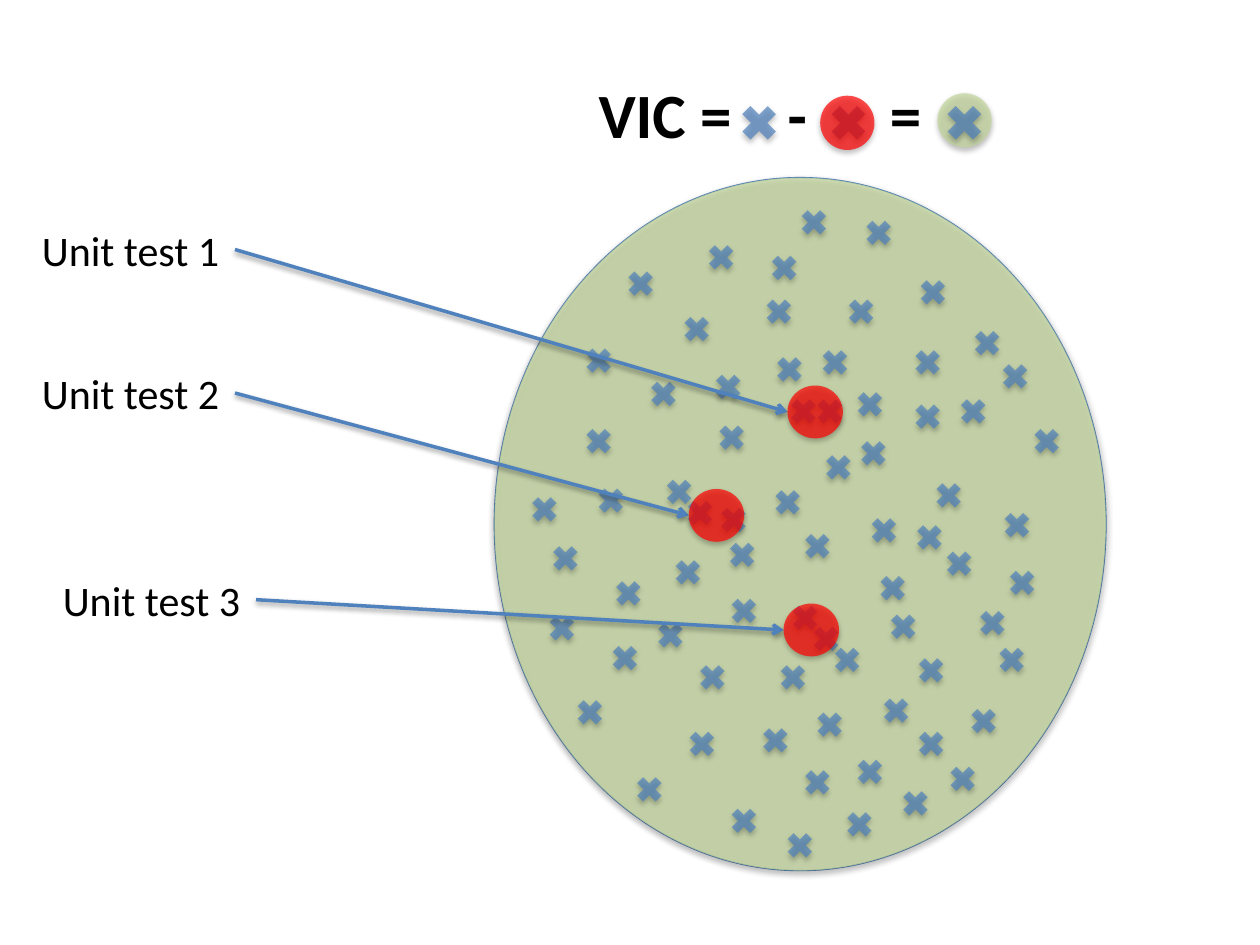
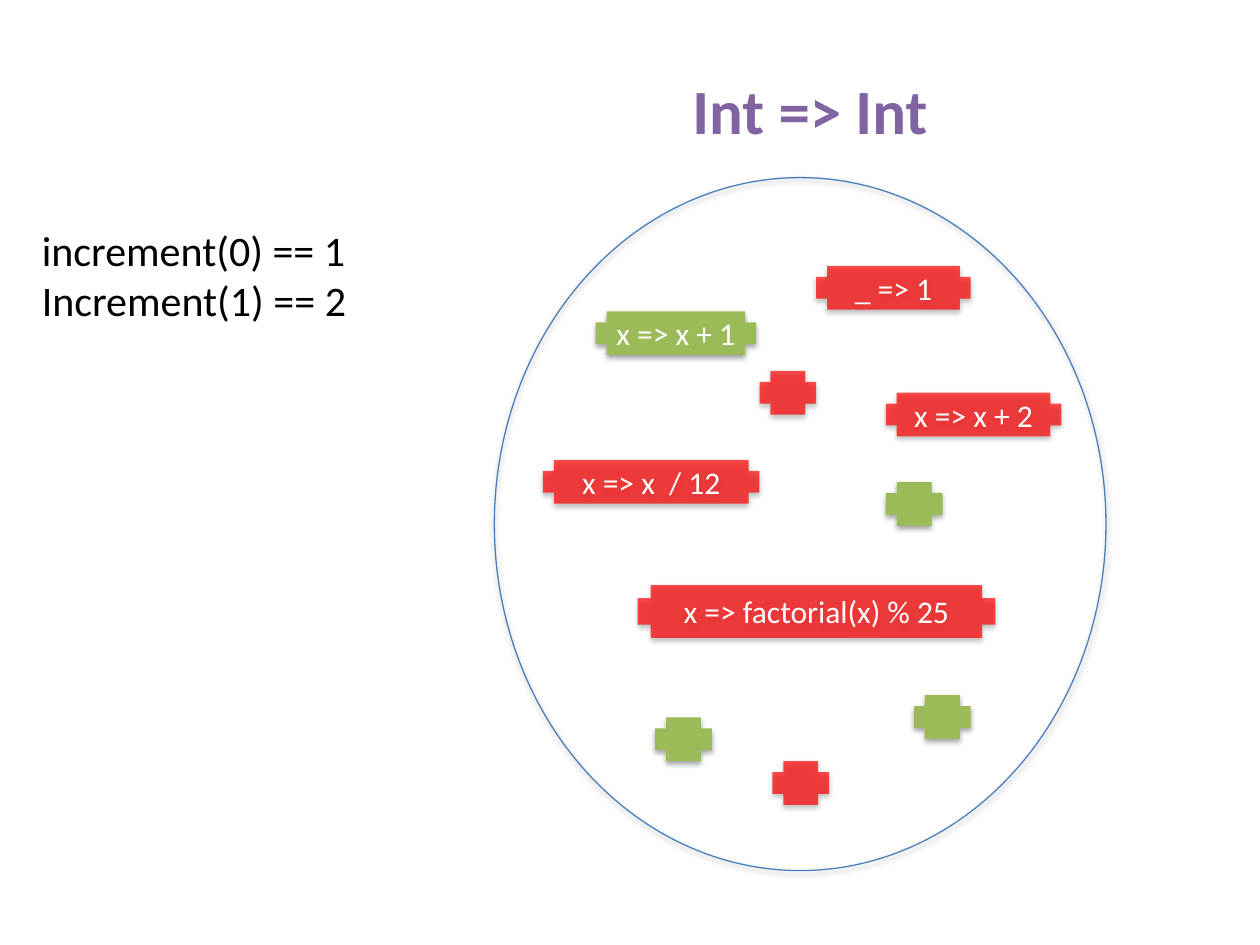
from lxml import etree
from pptx import Presentation
from pptx.dml.color import RGBColor
from pptx.enum import shapes, text
from pptx.oxml.ns import qn
from pptx.util import Pt

COLOURS = {
    "black": "000000",
    "white": "FFFFFF",
    "blue": "4F81BD",
    "outline": "4B7EBC",
    "pale_green": "C3D69B",
    "green": "9BBB59",
    "red": "FF0000",
    "purple": "8064A2",
}
KINDS = shapes.MSO_SHAPE
FONT = "Calibri"
DOMAIN = (282.5, 101.5, 349.5, 396)
CROSS_SIZE = 20.2
LEGEND_CROSS_SIZE = 28
LEGEND_CIRCLE_SIZE = 31
LABEL_SIZE = (117.5, 36)
CIRCLE_SIZE = (31.7, 30.2)
PLUS_HEIGHT = 25
SMALL_PLUS_WIDTH = 32.4

CROSSES = [
    (388, 178), (332, 196), (332, 242), (438, 143), (482, 168), (520, 197),
    (441, 201), (369, 215), (487, 221), (408, 240), (449, 225), (469, 257),
    (457, 302), (500, 326), (557, 346), (506, 348), (301, 281), (532, 273),
    (495, 293), (538, 312), (522, 373), (313, 309), (339, 276), (311, 349),
    (349, 329), (347, 366), (373, 353), (383, 317), (397, 377), (391, 415),
    (327, 397), (433, 413), (415, 459), (457, 437), (361, 441), (481, 461),
    (447, 473), (378, 271), (390, 283), (414, 307), (409, 287), (415, 339),
    (450, 343), (462, 355), (474, 367), (443, 377), (464, 404), (487, 431),
    (522, 415), (513, 449), (552, 402), (540, 435), (502, 396), (492, 123),
    (523, 157), (520, 228), (406, 211), (554, 186), (521, 297), (588, 242),
    (571, 290), (574, 323), (568, 367), (402, 137), (356, 152), (435, 168),
    (570, 205), (546, 225), (455, 117), (464, 225), (467, 197), (489, 249),
    (440, 277),
]
UNIT_TESTS = [
    ("Unit test 1", (16.8, 124.6), (450, 220.3)),
    ("Unit test 2", (16.8, 206.6), (393.6, 279.4)),
    ("Unit test 3", (28.8, 324.7), (447.8, 344.9)),
]
FUNCTIONS = [
    ("x => x + 1", "green", (340.4, 178, 91.6, PLUS_HEIGHT)),
    ("_ => 1", "red", (466.4, 152, 88.3, PLUS_HEIGHT)),
    ("x => x + 2", "red", (506.2, 224.4, 100.3, PLUS_HEIGHT)),
    ("x => factorial(x) % 25", "red", (364.3, 334.3, 204.4, 30.2)),
    ("x => x  / 12", "red", (310.3, 262.8, 123.7, PLUS_HEIGHT)),
]
UNNAMED_FUNCTIONS = [
    ("red", (434, 212)),
    ("green", (506.2, 275.5)),
    ("green", (374.4, 410)),
    ("green", (522.3, 397.3)),
    ("red", (441.4, 435)),
]


class Deck:
    def __init__(self):
        self.presentation = Presentation()
        self.presentation.slide_width = Pt(720)
        self.presentation.slide_height = Pt(540)
        self.slide = None

    def new_slide(self):
        layout = self.presentation.slide_layouts[5]
        self.slide = self.presentation.slides.add_slide(layout)

    def colour(self, name):
        return RGBColor.from_string(COLOURS[name])

    def shadow(self, shape, distance=1.8, opacity=35):
        properties = shape._element.spPr
        for old in properties.findall(qn("a:effectLst")):
            properties.remove(old)
        effects = etree.SubElement(properties, qn("a:effectLst"))
        outer = etree.SubElement(
            effects, qn("a:outerShdw"), blurRad=str(Pt(3.1)),
            dist=str(Pt(distance)), dir="5400000", rotWithShape="0")
        base = etree.SubElement(outer, qn("a:srgbClr"), val=COLOURS["black"])
        etree.SubElement(base, qn("a:alpha"), val=str(opacity * 1000))

    def set_text(self, shape, lines, size, colour, bold=False,
                 align=text.PP_ALIGN.LEFT, tabs=()):
        frame = shape.text_frame
        frame.text = "\n".join(lines)
        for paragraph in frame.paragraphs:
            paragraph.alignment = align
            if tabs:
                stops = etree.SubElement(
                    paragraph._p.get_or_add_pPr(), qn("a:tabLst"))
                for position in tabs:
                    etree.SubElement(stops, qn("a:tab"),
                                     pos=str(Pt(position)), algn="l")
            paragraph.font.name = FONT
            paragraph.font.size = Pt(size)
            paragraph.font.bold = bold
            paragraph.font.color.rgb = self.colour(colour)

    def title(self, words, left, top, width, colour="black", tabs=()):
        shape = self.slide.shapes.title
        shape.left, shape.top = Pt(left), Pt(top)
        shape.width, shape.height = Pt(width), Pt(51)
        frame = shape.text_frame
        frame.auto_size = text.MSO_AUTO_SIZE.NONE
        frame.vertical_anchor = text.MSO_ANCHOR.TOP
        self.set_text(shape, [words], 36, colour, bold=True, tabs=tabs)

    def label(self, lines, left, top, width, height):
        shape = self.slide.shapes.add_textbox(
            Pt(left), Pt(top), Pt(width), Pt(height))
        shape.text_frame.word_wrap = False
        shape.text_frame.auto_size = text.MSO_AUTO_SIZE.SHAPE_TO_FIT_TEXT
        self.set_text(shape, lines, 24, "black")
        return shape

    def shape(self, kind, box, fill=None, line=None, opacity=70, words=None):
        shape = self.slide.shapes.add_shape(kind, *map(Pt, box))
        if fill:
            shape.fill.solid()
            shape.fill.fore_color.rgb = self.colour(fill)
            if opacity < 100:
                base = shape._element.spPr.find(".//" + qn("a:srgbClr"))
                etree.SubElement(base, qn("a:alpha"), val=str(opacity * 1000))
        else:
            shape.fill.background()
        if line:
            shape.line.color.rgb = self.colour(line)
            shape.line.width = Pt(0.75)
        else:
            shape.line.fill.background()
        self.shadow(shape)
        if words:
            shape.text_frame.vertical_anchor = text.MSO_ANCHOR.MIDDLE
            self.set_text(shape, [words], 18, "white",
                          align=text.PP_ALIGN.CENTER)

    def domain(self):
        self.shape(KINDS.OVAL, DOMAIN, line="outline")

    def cross(self, left, top, size=CROSS_SIZE):
        self.shape(KINDS.MATH_MULTIPLY, (left, top, size, size), "blue")

    def circle(self, left, top, fill, width, height):
        self.shape(KINDS.OVAL, (left, top, width, height), fill)

    def plus(self, box, fill, words=None):
        opacity = 100 if fill == "green" else 70
        self.shape(KINDS.CROSS, box, fill, opacity=opacity, words=words)

    def arrow(self, source, x, y):
        connector = self.slide.shapes.add_connector(
            shapes.MSO_CONNECTOR.STRAIGHT, 0, 0, Pt(x), Pt(y))
        connector.begin_connect(source, 3)
        connector.line.color.rgb = self.colour("blue")
        connector.line.width = Pt(2)
        outline = connector._element.spPr.find(qn("a:ln"))
        etree.SubElement(outline, qn("a:tailEnd"), type="arrow")
        self.shadow(connector, distance=1.6, opacity=38)


def build_unit_tests(deck):
    deck.new_slide()
    deck.title("VIC =\t-\t=", 334.8, 39.6, 264, tabs=(108, 166.5))
    deck.domain()
    deck.shape(KINDS.OVAL, DOMAIN, "pale_green")
    for left, top in CROSSES:
        deck.cross(left, top)
    width, height = CIRCLE_SIZE
    for name, (left, top), (circle_left, circle_top) in UNIT_TESTS:
        label = deck.label([name], left, top, *LABEL_SIZE)
        deck.arrow(label, circle_left, circle_top + height / 2)
        deck.circle(circle_left, circle_top, "red", width, height)
    size = LEGEND_CIRCLE_SIZE
    deck.cross(419.8, 56.2, LEGEND_CROSS_SIZE)
    deck.cross(470.9, 56.2, LEGEND_CROSS_SIZE)
    deck.circle(468.7, 54.7, "red", size, size)
    deck.circle(535.7, 53.3, "pale_green", size, size)
    deck.cross(537.1, 56.2, LEGEND_CROSS_SIZE)


def build_functions(deck):
    deck.new_slide()
    deck.title("Int => Int", 388.5, 37.5, 155, "purple")
    deck.domain()
    for words, fill, box in FUNCTIONS:
        deck.plus(box, fill, words)
    for fill, (left, top) in UNNAMED_FUNCTIONS:
        deck.plus((left, top, SMALL_PLUS_WIDTH, PLUS_HEIGHT), fill)
    deck.label(["increment(0) == 1", "Increment(1) == 2"],
               16.8, 124.6, 190, 65.5)


def main():
    deck = Deck()
    build_unit_tests(deck)
    build_functions(deck)
    deck.presentation.save("out.pptx")


if __name__ == "__main__":
    main()
